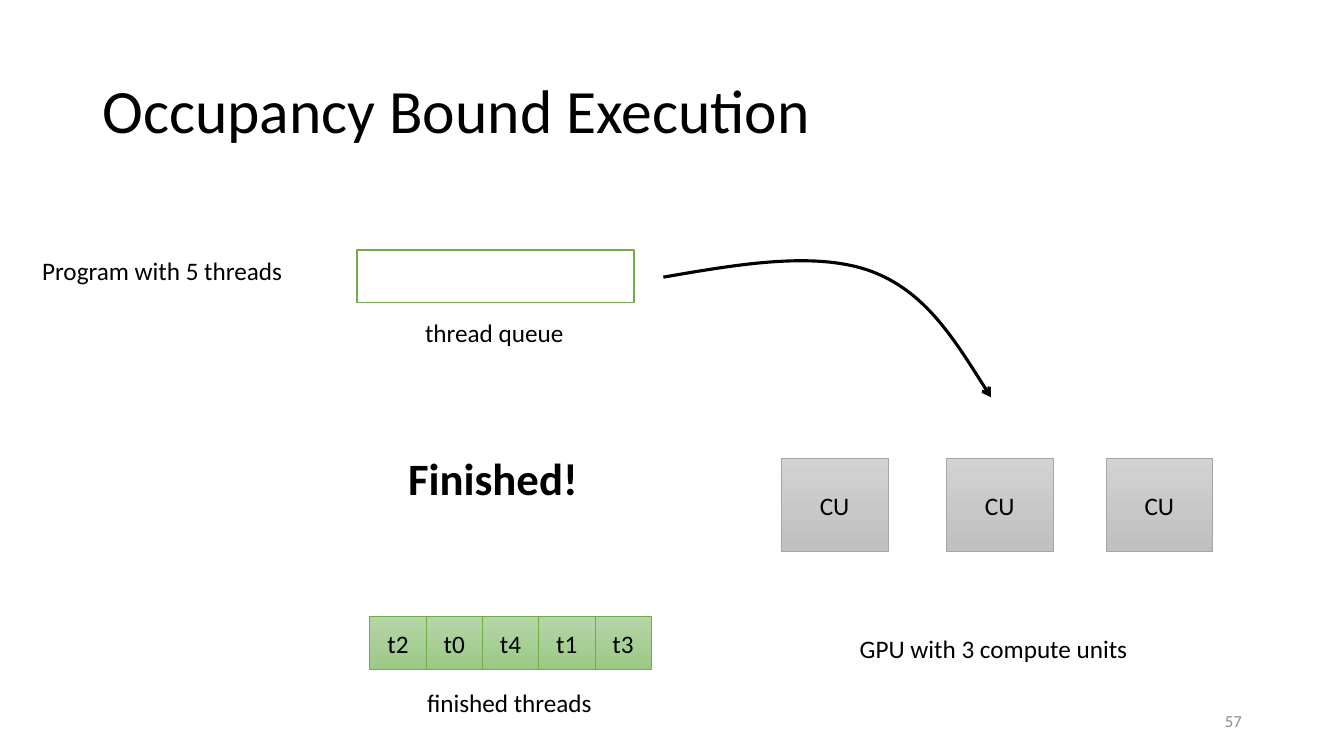
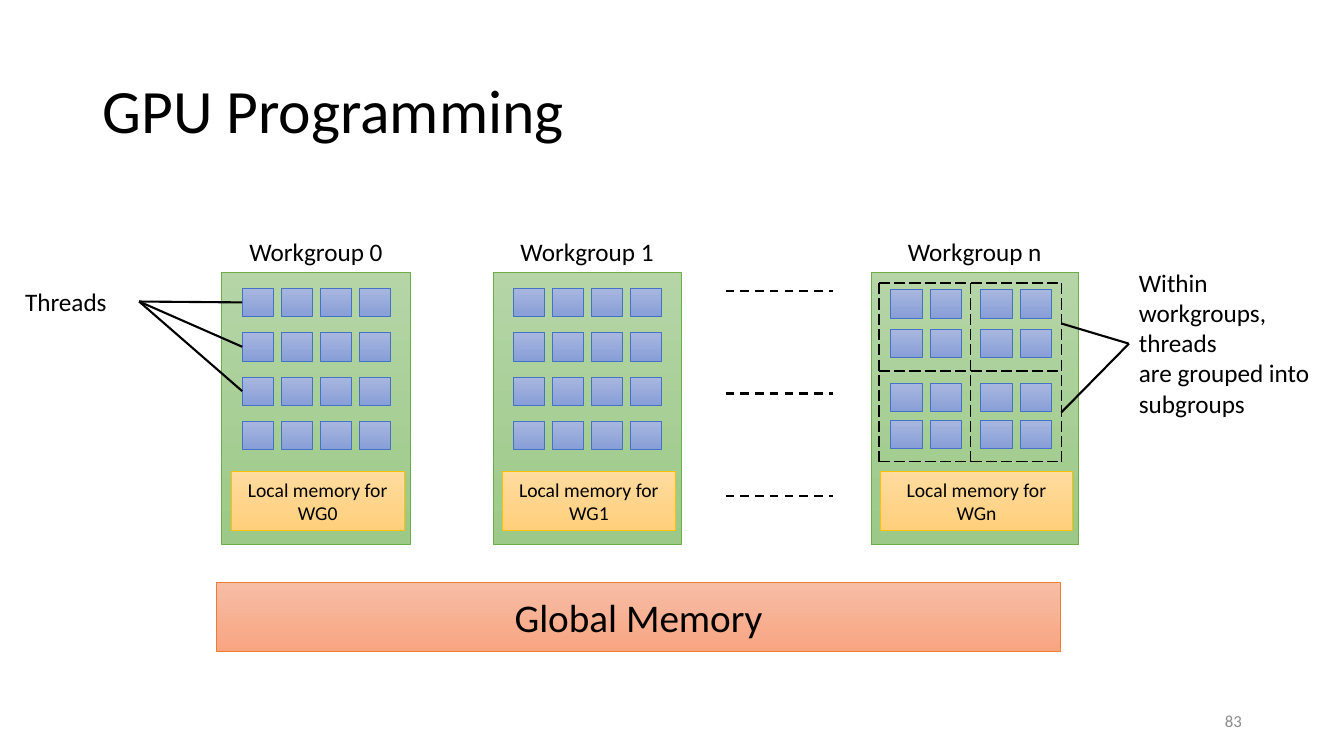
from dataclasses import dataclass
from itertools import product

from lxml.etree import SubElement
from pptx import Presentation
from pptx.dml.color import RGBColor
from pptx.enum.dml import MSO_LINE
from pptx.enum.shapes import MSO_CONNECTOR, MSO_SHAPE
from pptx.enum.text import MSO_ANCHOR, PP_ALIGN
from pptx.oxml.ns import qn
from pptx.util import Pt


@dataclass(frozen=True)
class Theme:
    font: str = "Calibri"
    ink: str = "000000"
    muted: str = "8C8C8C"
    # Each box style is (top colour, bottom colour, outline).
    gray: tuple = ("D2D2D2", "C0C0C0", "A5A5A5")
    green: tuple = ("B5D5A7", "9CC987", "70AD47")
    blue: tuple = ("A8B7DF", "889ED7", "4472C4")
    gold: tuple = ("FFDB9E", "FFD07C", "FFC000")
    orange: tuple = ("F7BDA5", "F8A582", "ED7D31")
    white: tuple = ("FFFFFF", "FFFFFF", "70AD47")
    title_size: int = 44
    callout_size: int = 32
    banner_size: int = 28
    body_size: int = 18
    memory_size: int = 14
    number_size: int = 12


THEME = Theme()
LEFT, CENTER, RIGHT = PP_ALIGN.LEFT, PP_ALIGN.CENTER, PP_ALIGN.RIGHT
TOP_SIDE, LEFT_SIDE, BOTTOM_SIDE, RIGHT_SIDE = range(4)
SLIDE_SIZE = (960, 540)
TITLE_BOX = (66, 28.8, 828, 104.4)
NUMBER_BOX = (678.2, 500.4, 216, 28.8)
LABEL_HEIGHT = 28.8

# Occupancy slide: text, box, alignment
OCCUPANCY_LABELS = [
    ("Program with 5 threads", (23, 178.6, 190, LABEL_HEIGHT), LEFT),
    ("thread queue", (253.4, 223.2, 199.4, LABEL_HEIGHT), CENTER),
    ("finished threads", (264.2, 487.4, 199.4, LABEL_HEIGHT), CENTER),
    ("GPU with 3 compute units", (607, 448.6, 210, LABEL_HEIGHT), LEFT),
]
COMPUTE_UNIT_LEFTS = [558, 676, 790]
FINISHED_THREADS = ["t2", "t0", "t4", "t1", "t3"]
FINISHED_LEFT, FINISHED_TOP, FINISHED_WIDTH = 264.2, 440.6, 40.2
QUEUE_BOX = (254.9, 178.6, 198, 37.4)
DISPATCH_START = (473.8, 198)
DISPATCH_CURVES = [
    [(527.8, 188.6), (582.5, 179.3), (622.1, 193.7)],
    [(661, 208.1), (684, 246.2), (707.8, 283.7)],
]

# Programming slide: thread offsets are measured from the workgroup's corner
WORKGROUP_TOP, WORKGROUP_HEIGHT = 194.4, 194.8
EVEN_COLUMNS = [14.6 + 27.9 * column for column in range(4)]
EVEN_ROWS = [11.5 + 31.7 * row for row in range(4)]
WORKGROUPS = [
    dict(name="0", left=158.4, width=134.6, columns=EVEN_COLUMNS, rows=EVEN_ROWS),
    dict(name="1", left=352.1, width=134.6, columns=EVEN_COLUMNS, rows=EVEN_ROWS),
    dict(name="n", left=622.1, width=148.3,
         columns=[14.1, 42.2, 78.5, 106.5], rows=[12.6, 41, 79.6, 105.8]),
]
THREAD_SIZE = (22.3, 20.2)
MEMORY_INSET, MEMORY_TOP, MEMORY_HEIGHT = 6.8, 337, 41.8
GLOBAL_MEMORY_BOX = (154.8, 416.2, 602.6, 49)
THREADS_LABEL_BOX = (10.8, 201, 88.6, LABEL_HEIGHT)
SUBGROUP_NOTE = ["Within workgroups, threads", "are grouped into subgroups"]
SUBGROUP_NOTE_BOX = (806.4, 187.2, 143.3, 116.6)
SUBGROUP_XS = [627.8, 693.4, 758.2]
SUBGROUP_YS = [202.3, 265, 329.8]
SUBGROUP_TARGET_YS = [231.1, 294.5]
ELLIPSIS_XS = (518.4, 595)
ELLIPSIS_YS = [208 + 73.1 * row for row in range(3)]


def points(values):
    return [Pt(value) for value in values]


def rgb(color):
    return RGBColor.from_string(color)


def write(shape, lines, size, align=LEFT, color=THEME.ink, bold=False):
    """Fill a shape with one paragraph per line."""
    frame = shape.text_frame
    frame.word_wrap = True
    for index, line in enumerate(lines):
        paragraph = frame.add_paragraph() if index else frame.paragraphs[0]
        paragraph.alignment = align
        run = paragraph.add_run()
        run.text = line
        run.font.name = THEME.font
        run.font.size = Pt(size)
        run.font.bold = bold
        run.font.color.rgb = rgb(color)
    return frame


def add_label(slide, lines, box, align=LEFT, size=THEME.body_size, **style):
    label = slide.shapes.add_textbox(*points(box))
    write(label, lines, size, align, **style)
    return label


def add_box(slide, box, style, text=None, size=THEME.body_size, line_width=0.5):
    top_color, bottom_color, outline = style
    shape = slide.shapes.add_shape(MSO_SHAPE.RECTANGLE, *points(box))
    shape.shadow.inherit = False
    if top_color == bottom_color:
        shape.fill.solid()
        shape.fill.fore_color.rgb = rgb(top_color)
    else:
        shape.fill.gradient()
        shape.fill.gradient_angle = 270
        for stop, color in zip(shape.fill.gradient_stops, (top_color, bottom_color)):
            stop.color.rgb = rgb(color)
    shape.line.color.rgb = rgb(outline)
    shape.line.width = Pt(line_width)
    if text:
        write(shape, [text], size, CENTER)
    return shape


def add_line(slide, start, end, width=1.5, dash=None):
    line = slide.shapes.add_connector(MSO_CONNECTOR.STRAIGHT, *points(start + end))
    line.line.color.rgb = rgb(THEME.ink)
    line.line.width = Pt(width)
    if dash:
        line.line.dash_style = dash
    SubElement(line._element.spPr, qn("a:effectLst"))
    return line


def add_curved_arrow(slide, start, curves):
    """Draw cubic curves, each given by two control points and an end point."""
    builder = slide.shapes.build_freeform(*points(start), scale=1.0)
    vertices = [points(point) for curve in curves for point in curve]
    builder.add_line_segments(vertices, close=False)
    arrow = builder.convert_to_shape()
    arrow.shadow.inherit = False
    arrow.fill.background()
    arrow.line.color.rgb = rgb(THEME.ink)
    arrow.line.width = Pt(2.25)
    properties = arrow._element.spPr
    SubElement(properties.find(qn("a:ln")), qn("a:tailEnd"), type="arrow")
    outline = next(properties.iter(qn("a:path")))
    segments = outline.findall(qn("a:lnTo"))
    for first in range(0, len(segments), 3):
        curve = SubElement(outline, qn("a:cubicBezTo"))
        for segment in segments[first:first + 3]:
            curve.append(segment[0])
            outline.remove(segment)


def add_slide(presentation, title, number):
    slide = presentation.slides.add_slide(presentation.slide_layouts[5])
    placeholder = slide.shapes.title
    placeholder.left, placeholder.top, placeholder.width, placeholder.height = points(TITLE_BOX)
    frame = write(placeholder, [title], THEME.title_size)
    frame.vertical_anchor = MSO_ANCHOR.MIDDLE
    frame.paragraphs[0].line_spacing = 0.9
    page = add_label(slide, [number], NUMBER_BOX, RIGHT, THEME.number_size, color=THEME.muted)
    page.text_frame.vertical_anchor = MSO_ANCHOR.MIDDLE
    return slide


def build_occupancy(presentation):
    slide = add_slide(presentation, "Occupancy Bound Execution", "57")
    for left in COMPUTE_UNIT_LEFTS:
        add_box(slide, (left, 327.6, 76.3, 66.2), THEME.gray, "CU")
    for index, thread in enumerate(FINISHED_THREADS):
        left = FINISHED_LEFT + index * FINISHED_WIDTH
        add_box(slide, (left, FINISHED_TOP, FINISHED_WIDTH, 37.4), THEME.green, thread)
    add_box(slide, QUEUE_BOX, THEME.white, line_width=1)
    add_curved_arrow(slide, DISPATCH_START, DISPATCH_CURVES)
    for text, box, align in OCCUPANCY_LABELS:
        add_label(slide, [text], box, align)
    add_label(slide, ["Finished!"], (284.4, 318.2, 140, 46), size=THEME.callout_size, bold=True)


def add_workgroup(slide, name, left, width, columns, rows):
    """Draw a workgroup and return its threads, row by row."""
    add_box(slide, (left, WORKGROUP_TOP, width, WORKGROUP_HEIGHT), THEME.green)
    add_label(slide, [f"Workgroup {name}"], (left, 165.2, width, LABEL_HEIGHT), CENTER)
    memory_box = (left + MEMORY_INSET, MEMORY_TOP, width - 11, MEMORY_HEIGHT)
    add_box(slide, memory_box, THEME.gold, f"Local memory for WG{name}", THEME.memory_size)
    return [add_box(slide, (left + x, WORKGROUP_TOP + y, *THREAD_SIZE), THEME.blue)
            for y, x in product(rows, columns)]


def build_programming(presentation):
    slide = add_slide(presentation, "GPU Programming", "83")
    threads = [add_workgroup(slide, **workgroup) for workgroup in WORKGROUPS]
    add_box(slide, GLOBAL_MEMORY_BOX, THEME.orange, "Global Memory", THEME.banner_size)

    threads_label = add_label(slide, ["Threads"], THREADS_LABEL_BOX)
    for row in range(3):
        pointer = add_line(slide, (0, 0), (0, 0))
        pointer.begin_connect(threads[0][row * len(EVEN_COLUMNS)], LEFT_SIDE)
        pointer.end_connect(threads_label, RIGHT_SIDE)

    for y in ELLIPSIS_YS:
        add_line(slide, (ELLIPSIS_XS[0], y), (ELLIPSIS_XS[1], y), dash=MSO_LINE.DASH)

    for x in SUBGROUP_XS:
        add_line(slide, (x, SUBGROUP_YS[0]), (x, SUBGROUP_YS[-1]), 1, MSO_LINE.LONG_DASH)
    for y in SUBGROUP_YS:
        add_line(slide, (SUBGROUP_XS[0], y), (SUBGROUP_XS[-1], y), 1, MSO_LINE.LONG_DASH)

    note = add_label(slide, SUBGROUP_NOTE, SUBGROUP_NOTE_BOX)
    for y in SUBGROUP_TARGET_YS:
        pointer = add_line(slide, (SUBGROUP_NOTE_BOX[0], y), (SUBGROUP_XS[-1], y))
        pointer.begin_connect(note, LEFT_SIDE)


def main():
    presentation = Presentation()
    presentation.slide_width, presentation.slide_height = points(SLIDE_SIZE)
    build_occupancy(presentation)
    build_programming(presentation)
    presentation.save("out.pptx")


if __name__ == "__main__":
    main()
